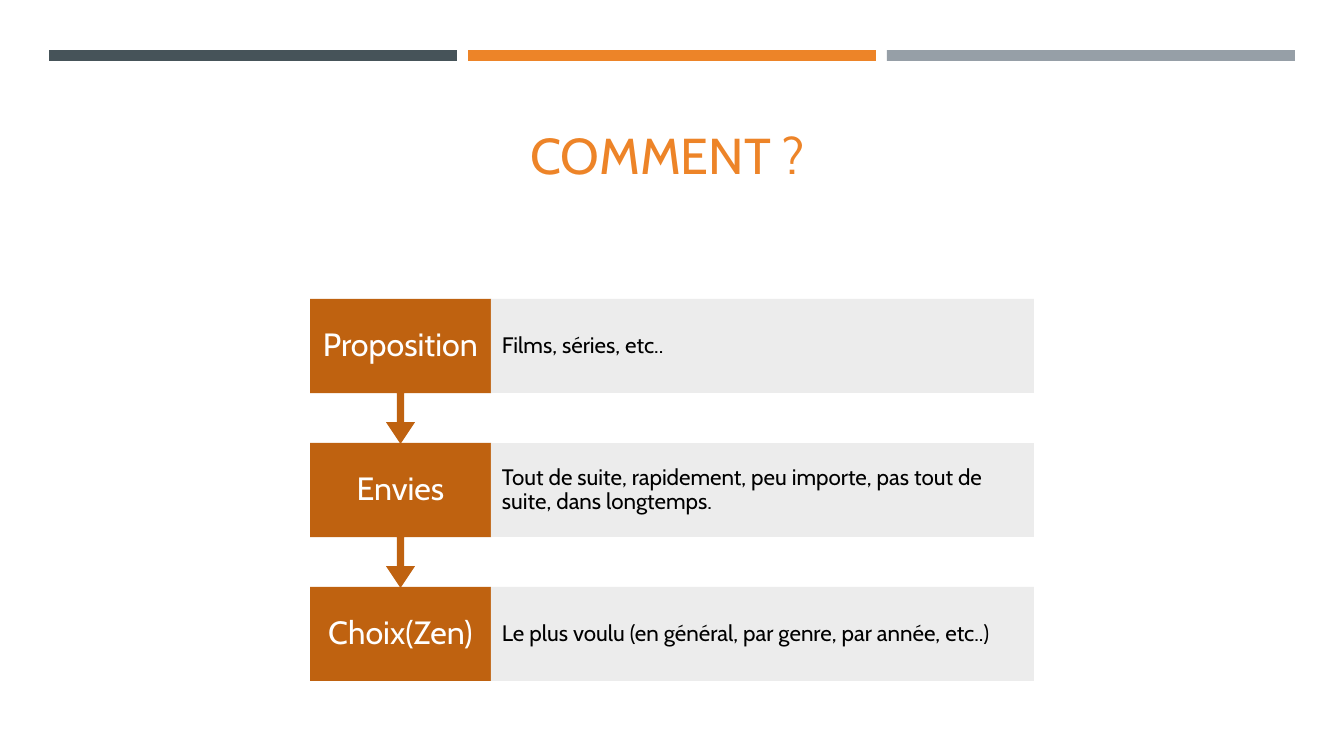
from pptx import Presentation, util as u
from pptx.dml.color import RGBColor
from pptx.enum import shapes, text
from pptx.oxml.ns import qn
from lxml import etree

PX = 9144000 / 1008
HUES = {"slate": "465359", "orange": "ED8428", "gray": "969FA7",
        "rust": "BF6210", "pale": "EBEBEB", "white": "FFFFFF", "black": "000000"}
KIND = shapes.MSO_SHAPE
MID = text.PP_ALIGN.CENTER


def block(kind, hue, *box):
    shape = slide.shapes.add_shape(kind, *[round(n * PX) for n in box])
    shape.shadow.inherit = False
    shape.fill.solid()
    shape.fill.fore_color.rgb = RGBColor.from_string(HUES[hue])
    shape.line.fill.background()
    return shape


def write(shape, words, size, hue, align, inset, anchor, spacing):
    frame = shape.text_frame
    frame.word_wrap = True
    frame.vertical_anchor = anchor
    frame.margin_left = frame.margin_right = round(inset[0] * PX)
    frame.margin_top = frame.margin_bottom = round(inset[1] * PX)
    frame.text = words
    para = frame.paragraphs[0]
    para.alignment = align
    para.line_spacing = spacing
    font = para.runs[0].font
    font.name, font.size = "Cabin", u.Pt(size)
    font.color.rgb = RGBColor.from_string(HUES[hue])


deck = Presentation()
deck.slide_width, deck.slide_height = round(1344 * PX), round(756 * PX)
slide = deck.slides.add_slide(deck.slide_layouts[6])

# Bars along the top
for i, hue in enumerate(["slate", "orange", "gray"]):
    block(KIND.RECTANGLE, hue, 49 + 419 * i, 50, 408, 11)

# Title
title = slide.shapes.add_textbox(*[round(n * PX) for n in (301, 113, 733, 77)])
write(title, "COMMENT ?", 36, "orange", MID, (10, 5), text.MSO_ANCHOR.BOTTOM, 1.0)

# Steps, from top to bottom
steps = [
    ("Proposition", "Films, séries, etc.."),
    ("Envies", "Tout de suite, rapidement, peu importe, pas tout de suite, dans longtemps."),
    ("Choix(Zen)", "Le plus voulu (en général, par genre, par année, etc..)"),
]
for i, (name, detail) in enumerate(steps):
    top = 299 + 144 * i
    if i < len(steps) - 1:
        step = block(KIND.DOWN_ARROW_CALLOUT, "rust", 310, top, 181, 145)
        for j, ratio in enumerate([0.05, 0.1, 0.15, 0.65]):
            step.adjustments[j] = ratio
    else:
        step = block(KIND.RECTANGLE, "rust", 310, top, 181, 94)
    write(step, name, 23, "white", MID, (8, 18), text.MSO_ANCHOR.MIDDLE, 0.9)

    panel = block(KIND.RECTANGLE, "pale", 491, top, 543, 94)
    tint = panel.fill._xPr.find(qn("a:solidFill"))[0]
    etree.SubElement(tint, qn("a:alpha"), val="90000")
    write(panel, detail, 16, "black", text.PP_ALIGN.LEFT, (11, 22),
          text.MSO_ANCHOR.MIDDLE, 0.9)

deck.save("out.pptx")
